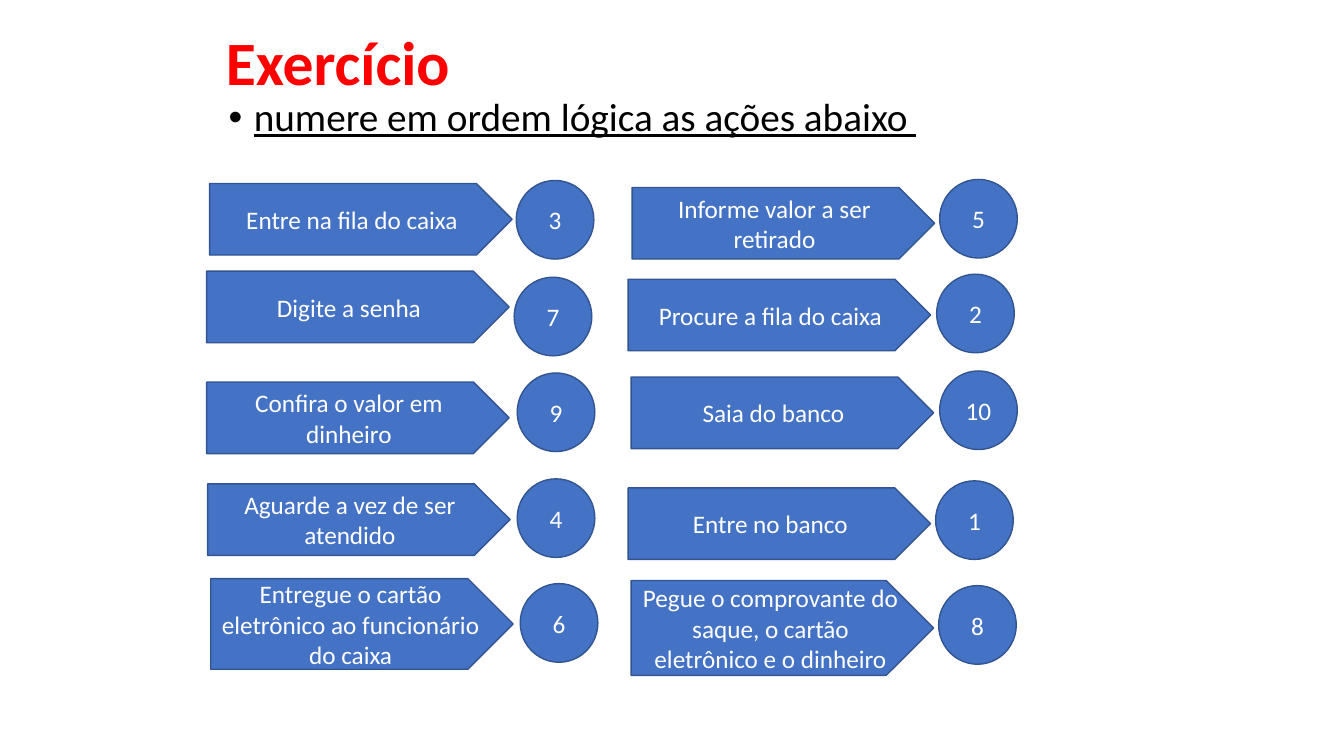
import pptx
import pptx.util
import pptx.dml.color
import pptx.enum.shapes
import pptx.enum.text
import lxml.etree

Inches = pptx.util.Inches
Shapes = pptx.enum.shapes.MSO_SHAPE
Align = pptx.enum.text.PP_ALIGN
Anchor = pptx.enum.text.MSO_ANCHOR

ARROW_WIDTH = 3
CIRCLE_WIDTH, CIRCLE_HEIGHT = 0.77, 0.78

STEPS = [
    ("Entre no banco", (6.23, 4.84, 0.71), (9.28, 4.77)),
    ("Procure a fila do caixa", (6.23, 2.77, 0.71), (9.29, 2.72)),
    ("Entre na fila do caixa", (2.08, 1.82, 0.71), (5.12, 1.79)),
    ("Aguarde a vez de ser atendido", (2.06, 4.8, 0.71), (5.13, 4.75)),
    ("Informe valor a ser retirado", (6.27, 1.86, 0.71), (9.32, 1.78)),
    ("Entregue o cartão eletrônico ao funcionário do caixa", (2.09, 5.74, 0.9), (5.16, 5.79)),
    ("Digite a senha", (2.05, 2.69, 0.71), (5.1, 2.75)),
    ("Pegue o comprovante do saque, o cartão eletrônico e o dinheiro", (6.26, 5.76, 0.94), (9.31, 5.81)),
    ("Confira o valor em dinheiro", (2.05, 3.79, 0.71), (5.13, 3.7)),
    ("Saia do banco", (6.26, 3.74, 0.71), (9.32, 3.68)),
]


def color(value):
    return pptx.dml.color.RGBColor.from_string(value)


def format_text(paragraph, size, value, alignment, bold=False, underline=False):
    paragraph.alignment = alignment
    for run in paragraph.runs:
        run.font.name = "Calibri"
        run.font.size = pptx.util.Pt(size)
        run.font.color.rgb = color(value)
        run.font.bold = bold
        run.font.underline = underline


def add_title(slide, box):
    title = slide.shapes.title
    title.left, title.top, title.width, title.height = map(Inches, box)
    text_frame = title.text_frame
    text_frame.text = "Exercício"
    text_frame.auto_size = pptx.enum.text.MSO_AUTO_SIZE.NONE
    text_frame.vertical_anchor = Anchor.MIDDLE
    paragraph = text_frame.paragraphs[0]
    paragraph.line_spacing = 0.9
    format_text(paragraph, 44, "FF0000", Align.LEFT, bold=True)


def add_instruction(slide, box):
    text_frame = slide.shapes.add_textbox(*map(Inches, box)).text_frame
    text_frame.word_wrap = True
    text_frame.text = "numere em ordem lógica as ações abaixo "
    paragraph = text_frame.paragraphs[0]
    paragraph.line_spacing = 0.9
    paragraph.space_before = pptx.util.Pt(10)
    format_text(paragraph, 28, "000000", Align.LEFT, underline=True)
    properties = paragraph._p.get_or_add_pPr()
    properties.set("marL", str(Inches(0.25)))
    properties.set("indent", str(Inches(-0.25)))
    for tag, attribute, value in (("a:buFont", "typeface", "Arial"), ("a:buChar", "char", "•")):
        bullet = lxml.etree.SubElement(properties, pptx.oxml.ns.qn(tag))
        bullet.set(attribute, value)


def add_label(group, kind, box, text):
    shape = group.shapes.add_shape(kind, *map(Inches, box))
    shape.shadow.inherit = False
    shape.fill.solid()
    shape.fill.fore_color.rgb = color("4472C4")
    shape.line.color.rgb = color("325491")
    shape.line.width = pptx.util.Pt(1)
    text_frame = shape.text_frame
    text_frame.word_wrap = True
    text_frame.vertical_anchor = Anchor.MIDDLE
    text_frame.text = text
    format_text(text_frame.paragraphs[0], 18, "FFFFFF", Align.CENTER)


def add_step(slide, number, text, arrow, circle):
    left, top, height = arrow
    group = slide.shapes.add_group_shape()
    add_label(group, Shapes.PENTAGON, (left, top, ARROW_WIDTH, height), text)
    add_label(group, Shapes.OVAL, (*circle, CIRCLE_WIDTH, CIRCLE_HEIGHT), str(number))


def main():
    presentation = pptx.Presentation()
    presentation.slide_width = Inches(13.33)
    presentation.slide_height = Inches(7.5)
    slide = presentation.slides.add_slide(presentation.slide_layouts.get_by_name("Title Only"))
    add_title(slide, (2.14, 0.03, 7.65, 1.25))
    add_instruction(slide, (2.17, 0.92, 11.1, 5.5))
    for number, (text, arrow, circle) in enumerate(STEPS, start=1):
        add_step(slide, number, text, arrow, circle)
    presentation.save("out.pptx")


if __name__ == "__main__":
    main()
